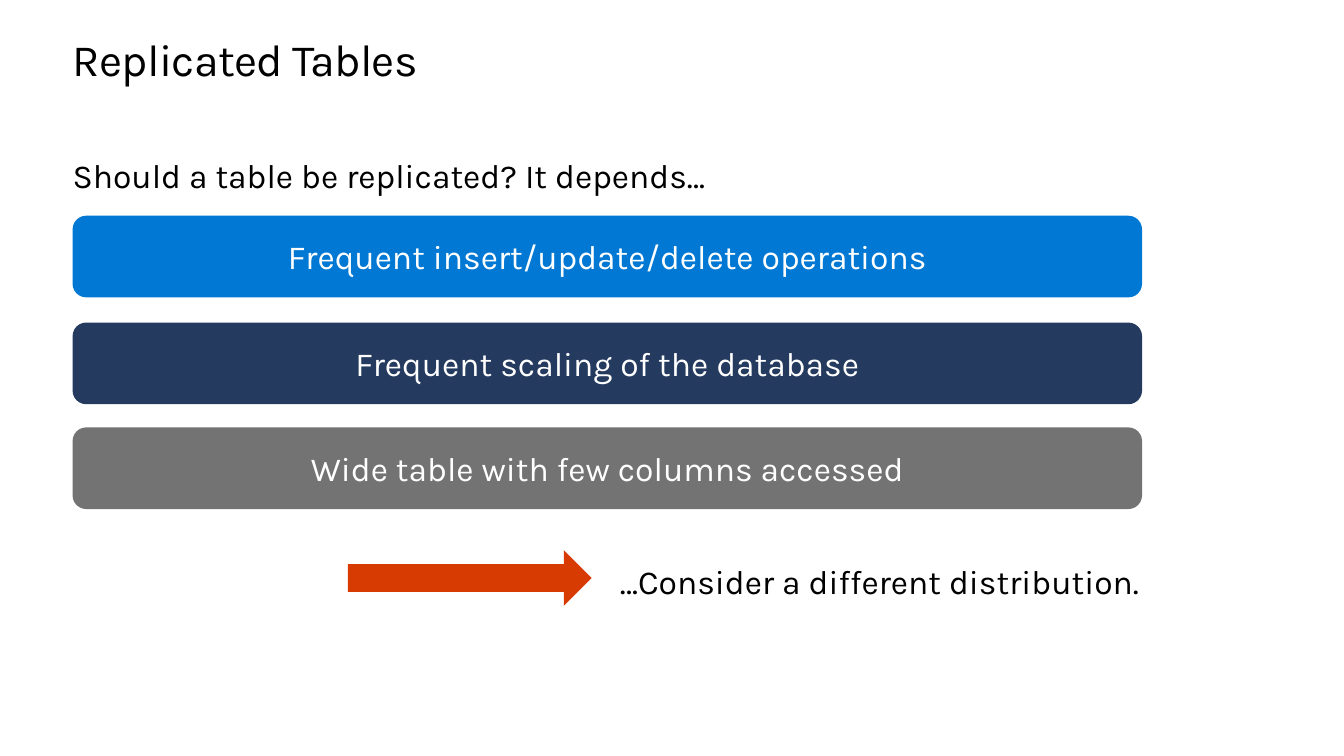
from dataclasses import dataclass

from pptx import Presentation
from pptx.dml.color import RGBColor
from pptx.enum.shapes import MSO_SHAPE
from pptx.enum.text import MSO_ANCHOR, MSO_AUTO_SIZE, PP_ALIGN
from pptx.shapes.autoshape import Shape
from pptx.slide import Slide
from pptx.util import Pt

ROUND, ARROW = MSO_SHAPE.ROUNDED_RECTANGLE, MSO_SHAPE.RIGHT_ARROW
TOP, MIDDLE = MSO_ANCHOR.TOP, MSO_ANCHOR.MIDDLE
LEFT, CENTER = PP_ALIGN.LEFT, PP_ALIGN.CENTER
NO_FIT = MSO_AUTO_SIZE.NONE

FONT = "Karla"
BLACK, WHITE = "000000", "FFFFFF"
EDGE = 51.84  # left margin shared by title, lead and bars


@dataclass
class Box:
    left: float
    top: float
    width: float
    height: float


@dataclass
class Bar:
    text: str
    top: float
    fill: str


@dataclass
class Note:
    text: str
    box: Box


TITLE = Box(EDGE, 25.2, 856.8, 36)
BARS = [
    Bar("Frequent insert/update/delete operations", 154.1, "0078D4"),
    Bar("Frequent scaling of the database", 230.4, "243A5E"),
    Bar("Wide table with few columns accessed", 305.3, "737373"),
]
NOTES = [
    Note("Should a table be replicated? It depends…", Box(EDGE, 110.9, 856.8, 30)),
    Note("…Consider a different distribution.", Box(442.8, 400.3, 437.8, 28.8)),
]


def color(code: str) -> RGBColor:
    return RGBColor.from_string(code)


def place(box: Box) -> tuple[Pt, Pt, Pt, Pt]:
    return Pt(box.left), Pt(box.top), Pt(box.width), Pt(box.height)


def write(shape: Shape, text: str, size: float = 24, ink: str = BLACK,
          align: PP_ALIGN = LEFT, anchor: MSO_ANCHOR = TOP, inset: float = 0) -> None:
    frame = shape.text_frame
    frame.text = text
    frame.word_wrap = True
    frame.auto_size = NO_FIT
    frame.vertical_anchor = anchor
    frame.margin_left = frame.margin_right = Pt(inset)
    frame.margin_top = frame.margin_bottom = Pt(inset)
    para = frame.paragraphs[0]
    para.alignment = align
    para.font.name = FONT
    para.font.size = Pt(size)
    para.font.color.rgb = color(ink)


def solid(slide: Slide, kind: MSO_SHAPE, box: Box, fill: str) -> Shape:
    shape = slide.shapes.add_shape(kind, *place(box))
    shape.shadow.inherit = False
    shape.fill.solid()
    shape.fill.fore_color.rgb = color(fill)
    shape.line.fill.background()
    return shape


def main() -> None:
    deck = Presentation()
    deck.slide_width, deck.slide_height = Pt(960), Pt(540)
    slide = deck.slides.add_slide(deck.slide_layouts[5])

    # Title, slightly tightened
    title = slide.shapes.title
    title.left, title.top, title.width, title.height = place(TITLE)
    title.fill.solid()
    title.fill.fore_color.rgb = color(WHITE)
    write(title, "Replicated Tables", size=32)
    para = title.text_frame.paragraphs[0]
    para.line_spacing = Pt(36.2)
    para.runs[0].font._element.set("spc", "-50")

    # Lead and conclusion
    for note in NOTES:
        write(slide.shapes.add_textbox(*place(note.box)), note.text)

    # Conditions
    for bar in BARS:
        shape = solid(slide, ROUND, Box(EDGE, bar.top, 763.9, 58.3), bar.fill)
        write(shape, bar.text, ink=WHITE, align=CENTER, anchor=MIDDLE, inset=12.24)

    # Arrow to the conclusion
    solid(slide, ARROW, Box(248.4, 393.1, 174.2, 39.6), "D83B01")

    deck.save("out.pptx")


if __name__ == "__main__":
    main()
